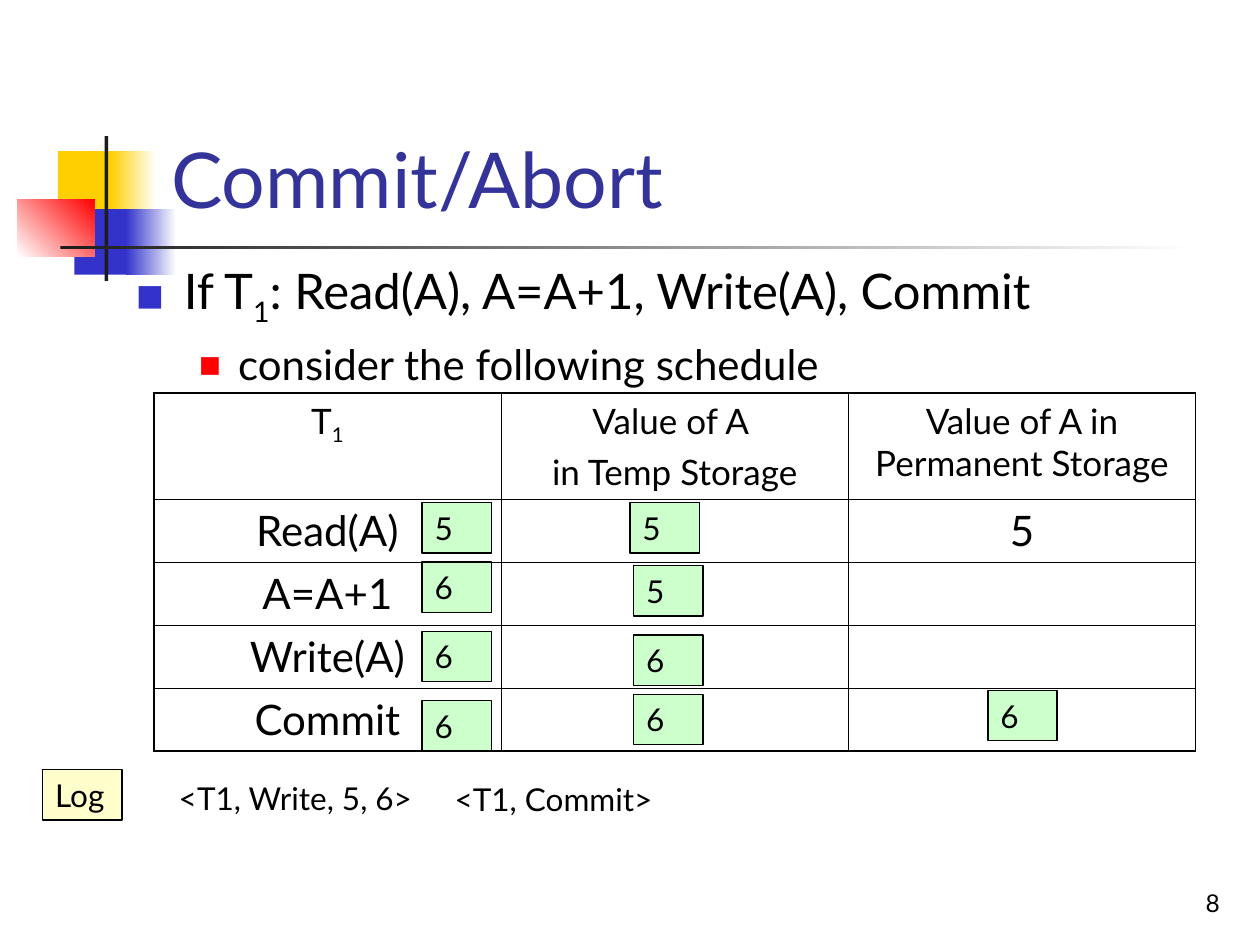
from typing import NamedTuple, Optional

from lxml import etree
from pptx import Presentation
from pptx.dml.color import RGBColor
from pptx.enum.shapes import MSO_SHAPE
from pptx.enum.text import MSO_ANCHOR, MSO_AUTO_SIZE, PP_ALIGN
from pptx.oxml.ns import qn
from pptx.util import Inches, Pt

RECTANGLE = MSO_SHAPE.RECTANGLE
LEFT, CENTER, RIGHT = PP_ALIGN.LEFT, PP_ALIGN.CENTER, PP_ALIGN.RIGHT
TOP, BOTTOM = MSO_ANCHOR.TOP, MSO_ANCHOR.BOTTOM
FIXED, GROW = MSO_AUTO_SIZE.NONE, MSO_AUTO_SIZE.SHAPE_TO_FIT_TEXT

FONT = "Lato"
COLORS = {
    "text": "000000", "title": "333399", "white": "FFFFFF",
    "yellow": "FFCF01", "blue": "3333CC", "red": "FF0000", "dark": "1C1C1C",
    "value": "CCFFCC", "log": "FFFFCC",
}


class Block(NamedTuple):
    """Part of the corner ornament; with an end colour it is a gradient."""
    left: float
    top: float
    width: float
    height: float
    color: str
    end: Optional[str] = None
    angle: int = 0


class ValueBox(NamedTuple):
    left: float
    top: float
    value: str


class LogText(NamedTuple):
    left: float
    top: float
    width: float
    text: str
    fill: Optional[str] = None


class Bullet(NamedTuple):
    level: int
    margin: float
    hanging: float
    color: str
    percent: int
    size: int
    runs: tuple[str, ...]


ORNAMENT = [
    Block(0.46, 1.2, 0.48, 0.52, "yellow"),
    Block(0.88, 1.2, 0.36, 0.52, "yellow", "white"),
    Block(0.59, 1.66, 0.46, 0.52, "blue"),
    Block(1, 1.66, 0.4, 0.52, "blue", "white"),
    Block(0.14, 1.58, 0.61, 0.46, "white", "red", 45),
    Block(0.83, 1.08, 0.03, 1.15, "dark"),
    Block(0.48, 1.95, 9, 0.03, "dark", "white"),
]
BULLETS = [
    Bullet(0, 0.38, 0.38, "blue", 60, 28,
           ("If T", "_1", ": Read(A), A=A+1, Write(A), Commit")),
    Bullet(1, 0.81, 0.31, "red", 55, 24, ("consider the following schedule",)),
]
# Each cell is a list of paragraphs, each paragraph a tuple of runs.
HEADER = [
    [("T", "_1")],
    [("Value of A ",), ("in Temp Storage",)],
    [("Value of A in Permanent Storage",)],
]
STEPS = [("Read(A)", "", "5"), ("A=A+1", "", ""), ("Write(A)", "", ""), ("Commit", "", "")]
SCHEDULE = [HEADER] + [[[(text,)] if text else [] for text in step] for step in STEPS]
VALUE_BOXES = [
    ValueBox(3.35, 3.99, "5"), ValueBox(3.35, 4.46, "6"), ValueBox(5.03, 4.49, "5"),
    ValueBox(3.35, 5.01, "6"), ValueBox(5.03, 5.04, "6"), ValueBox(5.03, 5.51, "6"),
    ValueBox(5, 3.99, "5"), ValueBox(3.35, 5.56, "6"), ValueBox(7.84, 5.48, "6"),
]
LOG_TEXTS = [
    LogText(0.34, 6.11, 0.63, "Log", "log"),
    LogText(1.32, 6.13, 2.08, "<T1, Write, 5, 6>"),
    LogText(3.51, 6.14, 1.83, "<T1, Commit>"),
]


def rgb(name: str) -> RGBColor:
    return RGBColor.from_string(COLORS[name])


def write_runs(paragraph, runs, size: int, color="text", align=LEFT) -> None:
    """Add the runs; a leading underscore marks a subscript."""
    paragraph.alignment = align
    for text in runs:
        run = paragraph.add_run()
        run.text = text.removeprefix("_")
        run.font.name = FONT
        run.font.size = Pt(size)
        run.font.color.rgb = rgb(color)
        if text.startswith("_"):
            run.font._element.set("baseline", "-25000")


def place(shape, left: float, top: float, width: float, height: float) -> None:
    shape.left, shape.top = Inches(left), Inches(top)
    shape.width, shape.height = Inches(width), Inches(height)


def set_frame(frame, anchor=TOP, fit=FIXED, wrap=True) -> None:
    frame.vertical_anchor = anchor
    frame.auto_size = fit
    frame.word_wrap = wrap


def add_rectangle(slide, left: float, top: float, width: float, height: float):
    shape = slide.shapes.add_shape(
        RECTANGLE, Inches(left), Inches(top), Inches(width), Inches(height))
    shape.shadow.inherit = False
    return shape


def add_block(slide, block: Block) -> None:
    shape = add_rectangle(slide, *block[:4])
    shape.line.fill.background()
    if block.end is None:
        shape.fill.solid()
        shape.fill.fore_color.rgb = rgb(block.color)
        return
    shape.fill.gradient()
    shape.fill.gradient_angle = block.angle
    for stop, name in zip(shape.fill.gradient_stops, (block.color, block.end)):
        stop.color.rgb = rgb(name)


def add_label(slide, box, text: str, fill: Optional[str], wrap: bool) -> None:
    if fill:
        shape = add_rectangle(slide, *box)
        shape.fill.solid()
        shape.fill.fore_color.rgb = rgb(fill)
        shape.line.color.rgb = rgb("text")
        shape.line.width = Pt(0.75)
    else:
        shape = slide.shapes.add_textbox(*map(Inches, box))
    set_frame(shape.text_frame, fit=GROW, wrap=wrap)
    write_runs(shape.text_frame.paragraphs[0], [text], 18)


def add_bullet(paragraph, bullet: Bullet) -> None:
    properties = paragraph._p.get_or_add_pPr()
    properties.set("marL", str(Inches(bullet.margin)))
    properties.set("indent", str(-Inches(bullet.hanging)))
    color = etree.SubElement(properties, qn("a:buClr"))
    etree.SubElement(color, qn("a:srgbClr"), val=COLORS[bullet.color])
    etree.SubElement(properties, qn("a:buSzPct"), val=str(bullet.percent * 1000))
    etree.SubElement(properties, qn("a:buFont"), typeface=FONT)
    etree.SubElement(properties, qn("a:buChar"), char="■")
    paragraph.level = bullet.level
    paragraph.space_before = Pt(6 if bullet.level else 0)
    write_runs(paragraph, bullet.runs, bullet.size)


def set_borders(cell, outer_sides: dict[str, bool]) -> None:
    """Draw outer sides thicker than inner ones."""
    properties = cell._tc.get_or_add_tcPr()
    for side, is_outer in outer_sides.items():
        line = etree.SubElement(properties, qn(f"a:ln{side}"), w=str(Pt(1.08 if is_outer else 0.45)))
        fill = etree.SubElement(line, qn("a:solidFill"))
        etree.SubElement(fill, qn("a:srgbClr"), val=COLORS["text"])


def add_schedule(slide) -> None:
    rows, columns = len(SCHEDULE), len(HEADER)
    table = slide.shapes.add_table(
        rows, columns, Inches(1.22), Inches(3.12), Inches(8.27), Inches(2.84)).table
    table.first_row = table.horz_banding = False
    for row_index, row in enumerate(SCHEDULE):
        table.rows[row_index].height = Inches(0.5 if row_index else 0.84)
        for column_index, paragraphs in enumerate(row):
            cell = table.cell(row_index, column_index)
            set_borders(cell, {"L": column_index == 0, "R": column_index == columns - 1,
                               "T": row_index == 0, "B": row_index == rows - 1})
            cell.fill.background()
            frame = cell.text_frame
            for index, runs in enumerate(paragraphs):
                paragraph = frame.add_paragraph() if index else frame.paragraphs[0]
                paragraph.space_before = Pt(5 if index else 0)
                write_runs(paragraph, runs, 24 if row_index else 20, align=CENTER)


def main() -> None:
    deck = Presentation()
    deck.slide_width, deck.slide_height = Inches(10), Inches(7.5)
    slide = deck.slides.add_slide(deck.slide_layouts[1])
    title, body = slide.placeholders
    for block in ORNAMENT:
        add_block(slide, block)
    for placeholder in (title, body):  # bring text in front of the ornament
        placeholder.element.getparent().append(placeholder.element)

    place(title, 1.26, 0.23, 8.52, 1.6)
    set_frame(title.text_frame, BOTTOM)
    write_runs(title.text_frame.paragraphs[0], ["Commit/Abort"], 44, "title")
    place(body, 0.98, 2.02, 7.96, 1.42)
    set_frame(body.text_frame)
    for index, bullet in enumerate(BULLETS):
        frame = body.text_frame
        add_bullet(frame.add_paragraph() if index else frame.paragraphs[0], bullet)

    add_schedule(slide)
    for box in VALUE_BOXES:
        add_label(slide, (box.left, box.top, 0.55, 0.4), box.value, "value", True)
    for entry in LOG_TEXTS:
        add_label(slide, (entry.left, entry.top, entry.width, 0.4), entry.text, entry.fill, False)
    page_number = slide.shapes.add_textbox(Inches(7.7), Inches(6.83), Inches(2.08), Inches(0.5))
    set_frame(page_number.text_frame, BOTTOM)
    write_runs(page_number.text_frame.paragraphs[0], ["8"], 14, align=RIGHT)
    deck.save("out.pptx")


if __name__ == "__main__":
    main()
